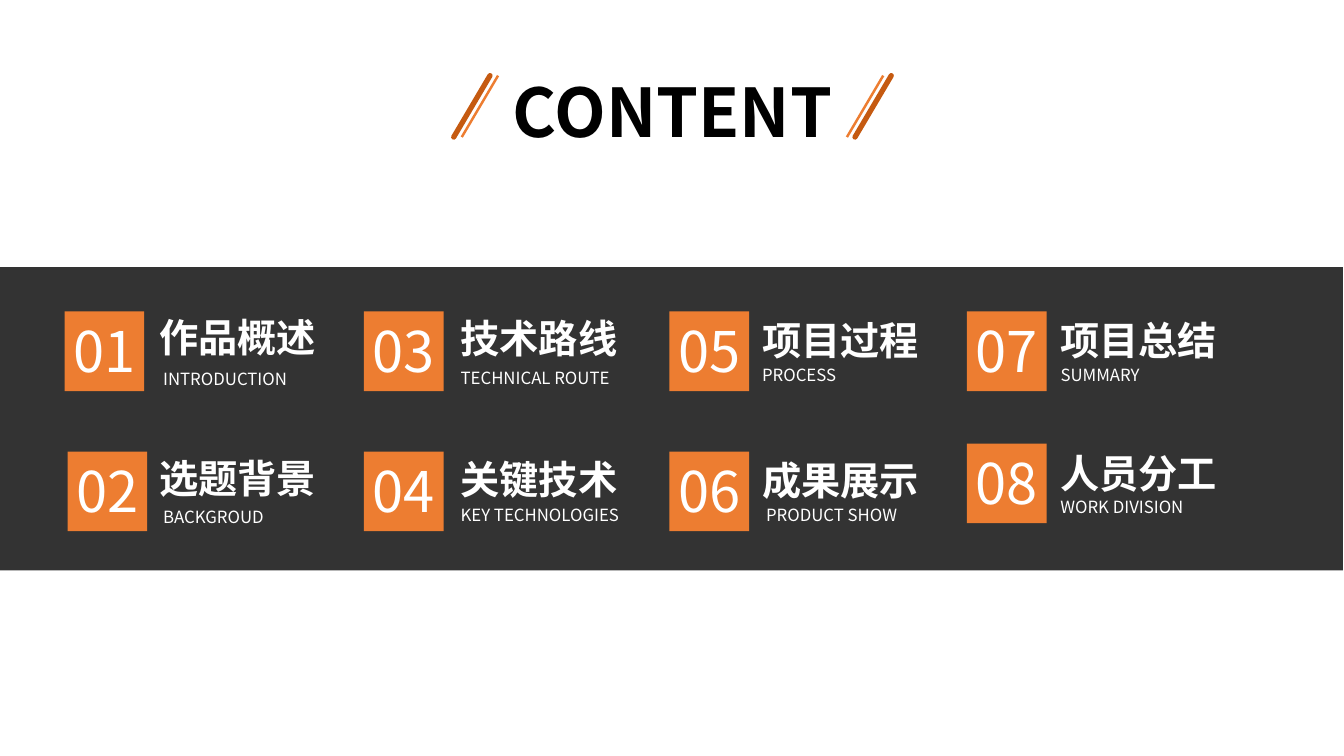
import pptx
import pptx.util
import pptx.dml.color
import pptx.enum.shapes
import pptx.enum.text
import pptx.oxml.ns
from lxml import etree

TITLE = "CONTENT"
CARDS = [
    # number, title, subtitle, subtitle width, column, tile left, tile top, title top, subtitle top, indent
    ("01", "作品概述", "INTRODUCTION", 1.56, 0, 0.64, 3.09, 3.06, 3.61, 0.04),
    ("02", "选题背景", "BACKGROUD", 1.32, 0, 0.67, 4.48, 4.46, 4.98, 0.04),
    ("03", "技术路线", "TECHNICAL ROUTE", 1.75, 1, 3.61, 3.09, 3.07, 3.6, 0),
    ("04", "关键技术", "KEY TECHNOLOGIES", 1.84, 1, 3.61, 4.48, 4.47, 4.96, 0),
    ("05", "项目过程", "PROCESS", 0.95, 2, 6.64, 3.09, 3.09, 3.57, 0),
    ("06", "成果展示", "PRODUCT SHOW", 1.65, 2, 6.64, 4.48, 4.48, 4.96, 0.04),
    ("07", "项目总结", "SUMMARY", 1.09, 3, 9.59, 3.09, 3.09, 3.57, 0),
    ("08", "人员分工", "WORK DIVISION", 1.54, 3, 9.59, 4.4, 4.41, 4.88, 0),
]
TEXT_LEFT = [1.48, 4.47, 7.46, 10.42]
SLASHES = [
    (4.94, "orange", 1.75), (8.76, "orange", 1.75),
    (8.84, "rust", 3.75), (4.86, "rust", 3.75),
]
COLORS = {"black": "000000", "white": "FFFFFF", "orange": "ED7D31", "rust": "C55A11"}
FONT = "Noto Sans CJK SC"
TILE = 0.79
NUM_W, NUM_H = 0.95, 0.77

Inches = pptx.util.Inches
Align = pptx.enum.text.PP_ALIGN
Anchor = pptx.enum.text.MSO_ANCHOR
qn = pptx.oxml.ns.qn

deck = pptx.Presentation()
deck.slide_width, deck.slide_height = Inches(13.33), Inches(7.5)
slide = deck.slides.add_slide(deck.slide_layouts[6])


def rgb(name):
    return pptx.dml.color.RGBColor.from_string(COLORS[name])


def add_rect(box, color):
    rect = slide.shapes.add_shape(
        pptx.enum.shapes.MSO_SHAPE.RECTANGLE, *map(Inches, box))
    rect.shadow.inherit = False
    rect.fill.solid()
    rect.fill.fore_color.rgb = rgb(color)
    rect.line.fill.background()
    return rect


def add_text(box, text, size, color="white", bold=False, wrap=True,
             align=Align.LEFT, anchor=Anchor.MIDDLE):
    frame = slide.shapes.add_textbox(*map(Inches, box)).text_frame
    frame.word_wrap = wrap
    frame.auto_size = pptx.enum.text.MSO_AUTO_SIZE.SHAPE_TO_FIT_TEXT
    frame.vertical_anchor = anchor
    para = frame.paragraphs[0]
    para.alignment = align
    run = para.add_run()
    run.text = text
    run.font.name = FONT
    run.font.size = pptx.util.Pt(size)
    run.font.bold = bold
    run.font.color.rgb = rgb(color)
    etree.SubElement(run.font._element, qn("a:ea"), typeface=FONT)


def add_slash(left, color, width):
    line = slide.shapes.add_connector(
        pptx.enum.shapes.MSO_CONNECTOR.STRAIGHT,
        Inches(left), Inches(0.75), Inches(left - 0.36), Inches(1.36))
    line.line.color.rgb = rgb(color)
    line.line.width = pptx.util.Pt(width)
    props = line._element.spPr
    if color == "rust":
        props.find(qn("a:ln")).set("cap", "rnd")
    etree.SubElement(props, qn("a:effectLst"))


def add_card(num, title, sub, width, col, left, top, title_top, sub_top, indent):
    text_left = TEXT_LEFT[col]
    add_text((text_left, title_top, 2.1, 0.57), title, 28, bold=True)
    add_text((text_left + indent, sub_top, width, 0.3), sub, 12,
             wrap=False, anchor=Anchor.TOP)
    add_rect((left, top, TILE, TILE), "orange")
    add_text((left + (TILE - NUM_W) / 2, top, NUM_W, NUM_H), num, 40,
             align=Align.CENTER)


band = add_rect((-0.06, 2.65, 13.38, 3.01), "black")
shade = band._element.spPr.find(qn("a:solidFill"))[0]
etree.SubElement(shade, qn("a:alpha"), val="80000")

add_text((4.88, 0.65, 3.58, 0.91), TITLE, 48, "black", bold=True, wrap=False,
         align=Align.CENTER, anchor=Anchor.TOP)
for slash in SLASHES:
    add_slash(*slash)
for card in CARDS:
    add_card(*card)

deck.save("out.pptx")
